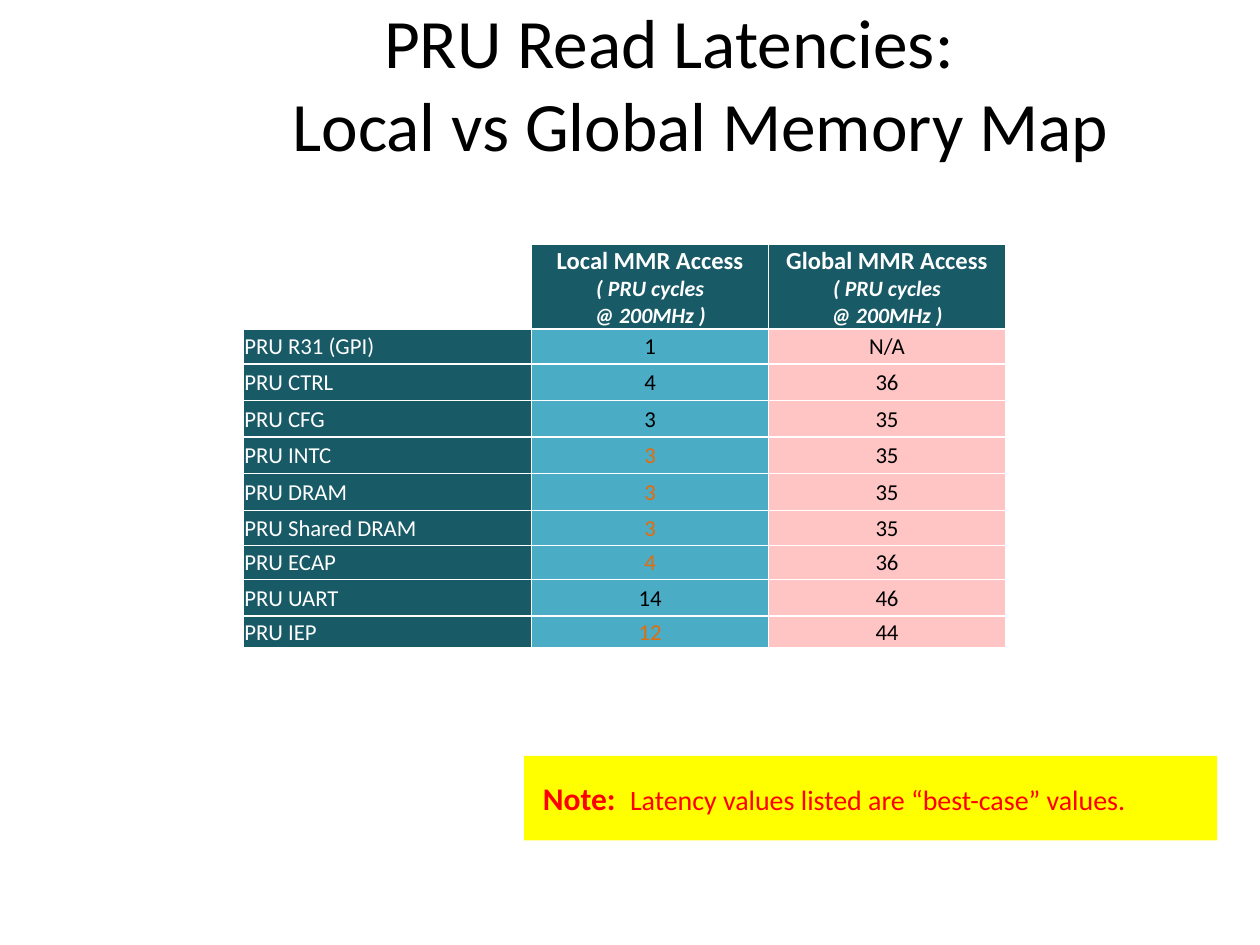
from pptx import Presentation
from pptx.dml.color import RGBColor
from pptx.enum.shapes import MSO_SHAPE as Shape
from pptx.enum.text import MSO_ANCHOR as Anchor, MSO_AUTO_SIZE as AutoSize, PP_ALIGN as Align
from pptx.oxml import parse_xml
from pptx.oxml.ns import nsdecls
from pptx.util import Inches, Pt

BLACK, WHITE, RED, ORANGE = "000000", "FFFFFF", "FF0000", "E46C0A"
TEAL, BLUE, PINK, YELLOW = "195A67", "4BACC6", "FFC5C5", "FFFF00"

# (text, left indent, right indent) in inches
TITLE = [
    ("PRU Read Latencies:", 0, 0.14),
    ("Local vs Global Memory Map", 0.36, 0),
]
UNITS = ["( PRU cycles", "@ 200MHz )"]
HEADERS = ["Local MMR Access", "Global MMR Access"]
# (memory, local cycles, global cycles, colour of the local value, row height)
LATENCIES = [
    ("PRU R31 (GPI)", "1", "N/A", BLACK, 0.28),
    ("PRU CTRL", "4", "36", BLACK, 0.29),
    ("PRU CFG", "3", "35", BLACK, 0.29),
    ("PRU INTC", "3", "35", ORANGE, 0.29),
    ("PRU DRAM", "3", "35", ORANGE, 0.29),
    ("PRU Shared DRAM", "3", "35", ORANGE, 0.28),
    ("PRU ECAP", "4", "36", ORANGE, 0.27),
    ("PRU UART", "14", "46", BLACK, 0.29),
    ("PRU IEP", "12", "44", ORANGE, 0.25),
]
NOTE = [
    ("Note:  ", {"size": Pt(18), "bold": True}),
    ("Latency values listed are “best-case” values.", {"size": Pt(16), "bold": False}),
]
COL_WIDTHS = [2.29, 1.88, 1.88]
HEADER_HEIGHT = 0.67
CELL_MARGINS = {"margin_left": 0.01, "margin_right": 0.01, "margin_top": 0.01, "margin_bottom": 0}


def rgb(color):
    return RGBColor.from_string(color)


def inches(*values):
    return [Inches(v) for v in values]


def style(font, color, **values):
    font.name = "Calibri"
    font.color.rgb = rgb(color)
    for name, value in values.items():
        setattr(font, name, value)


def paint(shape, color):
    shape.fill.solid()
    shape.fill.fore_color.rgb = rgb(color)


def add_borders(cell):
    tcPr = cell._tc.get_or_add_tcPr()
    for side in "LRTB":
        tcPr.append(parse_xml(
            f'<a:ln{side} {nsdecls("a")} w="{Pt(1)}"><a:solidFill>'
            f'<a:srgbClr val="{WHITE}"/></a:solidFill></a:ln{side}>'))


def write_cell(cell, lines, fill, align=Align.CENTER):
    """Fill a cell with (text, colour, font values) lines."""
    paint(cell, fill)
    tf = cell.text_frame
    for i, (text, color, values) in enumerate(lines):
        p = tf.add_paragraph() if i else tf.paragraphs[0]
        p.alignment = align
        r = p.add_run()
        r.text = text
        style(r.font, color, **values)


def add_title(slide):
    sp = slide.shapes.title
    sp.left, sp.top, sp.width, sp.height = inches(0.17, 0.21, 10.42, 0.89)
    tf = sp.text_frame
    tf.auto_size, tf.vertical_anchor = AutoSize.NONE, Anchor.MIDDLE
    for i, (text, left, right) in enumerate(TITLE):
        p = tf.add_paragraph() if i else tf.paragraphs[0]
        p.alignment = Align.CENTER
        pPr = p._p.get_or_add_pPr()
        pPr.set("marL", str(Inches(left)))
        pPr.set("marR", str(Inches(right)))
        r = p.add_run()
        r.text = text
        style(r.font, BLACK, size=Pt(39.6))


def add_latency_table(slide):
    heights = [HEADER_HEIGHT] + [row[-1] for row in LATENCIES]
    frame = slide.shapes.add_table(
        len(heights), len(COL_WIDTHS),
        *inches(1.93, 1.94, sum(COL_WIDTHS), sum(heights)))
    table = frame.table
    table.first_row = table.horz_banding = False
    for col, width in zip(table.columns, COL_WIDTHS):
        col.width = Inches(width)
    for row, height in zip(table.rows, heights):
        row.height = Inches(height)
    for cell in table.iter_cells():
        add_borders(cell)
        cell.vertical_anchor = Anchor.MIDDLE
        for name, value in CELL_MARGINS.items():
            setattr(cell, name, Inches(value))

    table.cell(0, 0).fill.background()
    heading = {"size": Pt(14), "bold": True}
    unit = {"size": Pt(12.5), "bold": True, "italic": True}
    for c, header in enumerate(HEADERS, 1):
        lines = [(header, WHITE, heading)] + [(text, WHITE, unit) for text in UNITS]
        write_cell(table.cell(0, c), lines, TEAL)

    body = {"size": Pt(13), "bold": False}
    for r, (memory, local, global_, color, _) in enumerate(LATENCIES, 1):
        write_cell(table.cell(r, 0), [(memory, WHITE, body)], TEAL, Align.LEFT)
        write_cell(table.cell(r, 1), [(local, color, body)], BLUE)
        write_cell(table.cell(r, 2), [(global_, BLACK, body)], PINK)


def add_note(slide):
    sp = slide.shapes.add_shape(Shape.RECTANGLE, *inches(4.16, 6, 5.5, 0.67))
    sp.shadow.inherit = False
    sp.line.fill.background()
    paint(sp, YELLOW)
    tf = sp.text_frame
    tf.word_wrap, tf.vertical_anchor, tf.margin_left = True, Anchor.MIDDLE, Inches(0.15)
    p = tf.paragraphs[0]
    p.alignment = Align.LEFT
    for text, values in NOTE:
        r = p.add_run()
        r.text = text
        style(r.font, RED, **values)


def main():
    prs = Presentation()
    prs.slide_width, prs.slide_height = inches(10, 7.5)
    slide = prs.slides.add_slide(prs.slide_layouts[5])
    add_title(slide)
    add_latency_table(slide)
    add_note(slide)
    prs.save("out.pptx")


if __name__ == "__main__":
    main()
